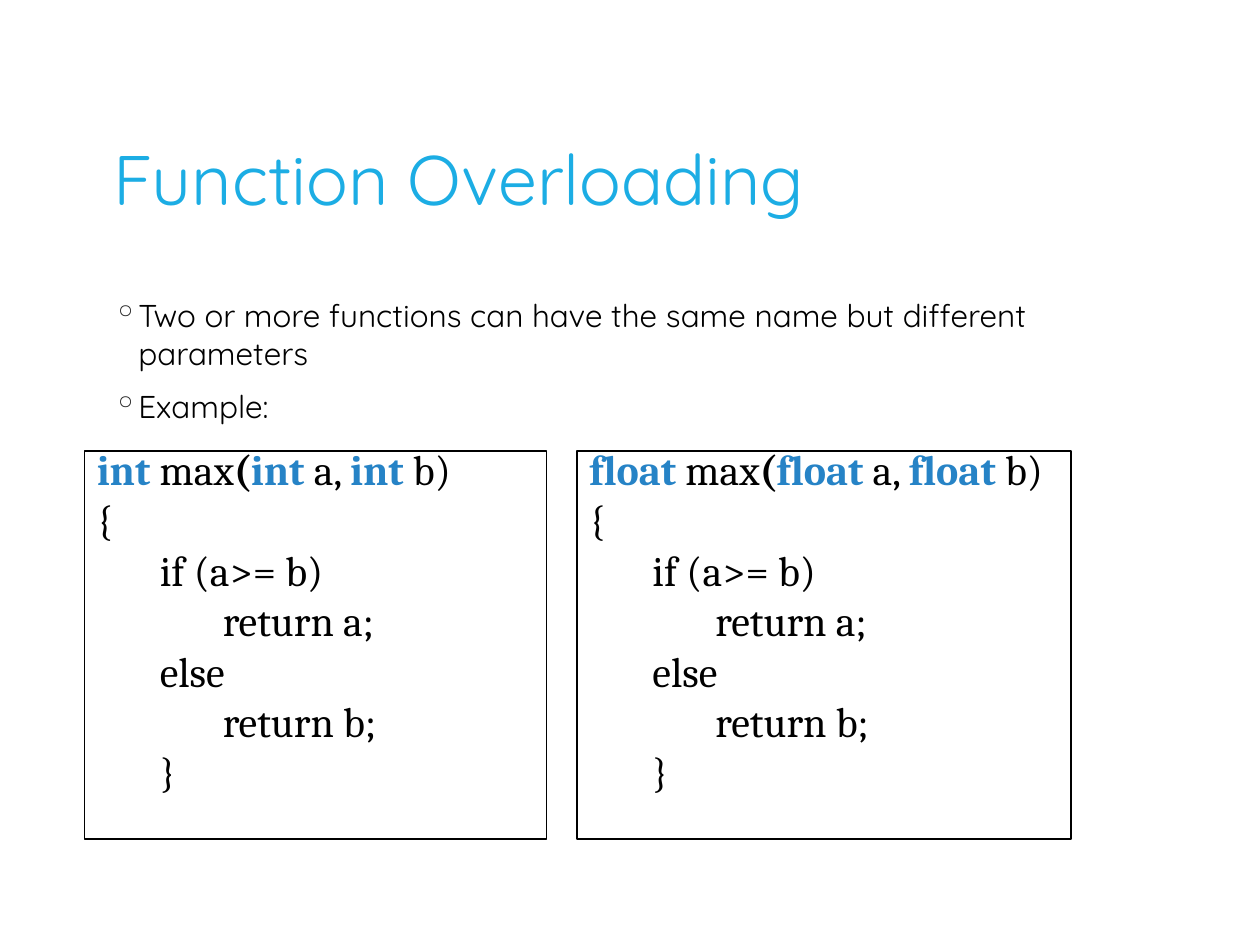
from lxml import etree
from pptx import Presentation
from pptx.dml.color import RGBColor
from pptx.enum import shapes, text
from pptx.oxml.ns import qn
from pptx.util import Inches, Pt

COLORS = {"title": "1CADE4", "keyword": "2683C6", "ink": "000000", "bullet": "262626"}
SANS, SERIF = "Quicksand", "Cambria"

TITLE = "Function Overloading"
POINTS = [
    "Two or more functions can have the same name but different parameters",
    "Example:",
]
# Each code panel: type name, left, width
PANELS = [("int", 0.67, 3.67), ("float", 4.58, 3.92)]
PANEL_TOP, PANEL_HEIGHT = 3.58, 3.08
# Code under the signature: text, indent in inches
BODY = [
    ("{", 0),
    ("if (a>= b)", 0.5),
    ("\treturn a;", 0.5),
    ("else", 0.5),
    ("\treturn b;", 0.5),
    ("}", 0.5),
]


def add_span(para, words, font=SANS, size=18, color="ink", bold=False):
    span = para.add_run()
    span.text = words
    span.font.name = font
    span.font.size = Pt(size)
    span.font.bold = bold
    span.font.color.rgb = RGBColor.from_string(COLORS[color])


def set_frame(frame, anchor, bottom=0.05):
    frame.word_wrap = True
    frame.auto_size = text.MSO_AUTO_SIZE.NONE
    frame.vertical_anchor = anchor
    frame.margin_left = frame.margin_right = Inches(0.1)
    frame.margin_top, frame.margin_bottom = Inches(0.05), Inches(bottom)


def next_para(frame, index):
    para = frame.add_paragraph() if index else frame.paragraphs[0]
    para.alignment = text.PP_ALIGN.LEFT
    return para


def set_bullet(para):
    props = para._p.get_or_add_pPr()
    props.set("marL", str(Inches(0.2)))
    props.set("indent", str(-Inches(0.2)))
    color = etree.SubElement(props, qn("a:buClr"))
    etree.SubElement(color, qn("a:srgbClr"), val=COLORS["bullet"])
    etree.SubElement(props, qn("a:buChar"), char="◦")


def set_indent(para, indent):
    props = para._p.get_or_add_pPr()
    props.set("marL", str(Inches(indent)))
    props.set("indent", "0")
    tabs = etree.SubElement(props, qn("a:tabLst"))
    etree.SubElement(tabs, qn("a:tab"), pos=str(Inches(1)), algn="l")


def signature(kind):
    """Words of the first code line with their colour and weight."""
    return [
        (kind + " ", "keyword", True), ("max", "ink", False), ("(", "ink", True),
        (kind, "keyword", True), (" a, ", "ink", False),
        (kind, "keyword", True), (" b)", "ink", False),
    ]


def add_panel(page, kind, left, width):
    box = page.shapes.add_shape(
        shapes.MSO_SHAPE.RECTANGLE,
        Inches(left), Inches(PANEL_TOP), Inches(width), Inches(PANEL_HEIGHT))
    box.shadow.inherit = False
    box.fill.background()
    box.line.color.rgb = RGBColor.from_string(COLORS["ink"])
    box.line.width = Pt(0.75)
    frame = box.text_frame
    # The deep bottom margin leaves one free line under the code
    set_frame(frame, text.MSO_ANCHOR.MIDDLE, bottom=0.45)
    lines = [(signature(kind), 0)]
    lines += [([(words, "ink", False)], indent) for words, indent in BODY]
    for index, (spans, indent) in enumerate(lines):
        para = next_para(frame, index)
        set_indent(para, indent)
        for words, color, bold in spans:
            add_span(para, words, font=SERIF, size=24, color=color, bold=bold)


def main():
    deck = Presentation()
    deck.slide_width, deck.slide_height = Inches(10), Inches(7.5)
    page = deck.slides.add_slide(deck.slide_layouts[5])

    # Title
    title = page.shapes.title
    title.left, title.top = Inches(0.8), Inches(0.7)
    title.width, title.height = Inches(8.4), Inches(1.5)
    set_frame(title.text_frame, text.MSO_ANCHOR.MIDDLE)
    para = next_para(title.text_frame, 0)
    para.line_spacing = 0.9
    add_span(para, TITLE, size=40, color="title")

    # Bullet points
    box = page.shapes.add_textbox(Inches(0.8), Inches(2.3), Inches(8.4), Inches(4.3))
    set_frame(box.text_frame, text.MSO_ANCHOR.TOP)
    for index, point in enumerate(POINTS):
        para = next_para(box.text_frame, index)
        set_bullet(para)
        if index:
            para.space_before = Pt(9)
        add_span(para, point)

    # Code panels
    for panel in PANELS:
        add_panel(page, *panel)

    deck.save("out.pptx")


if __name__ == "__main__":
    main()
